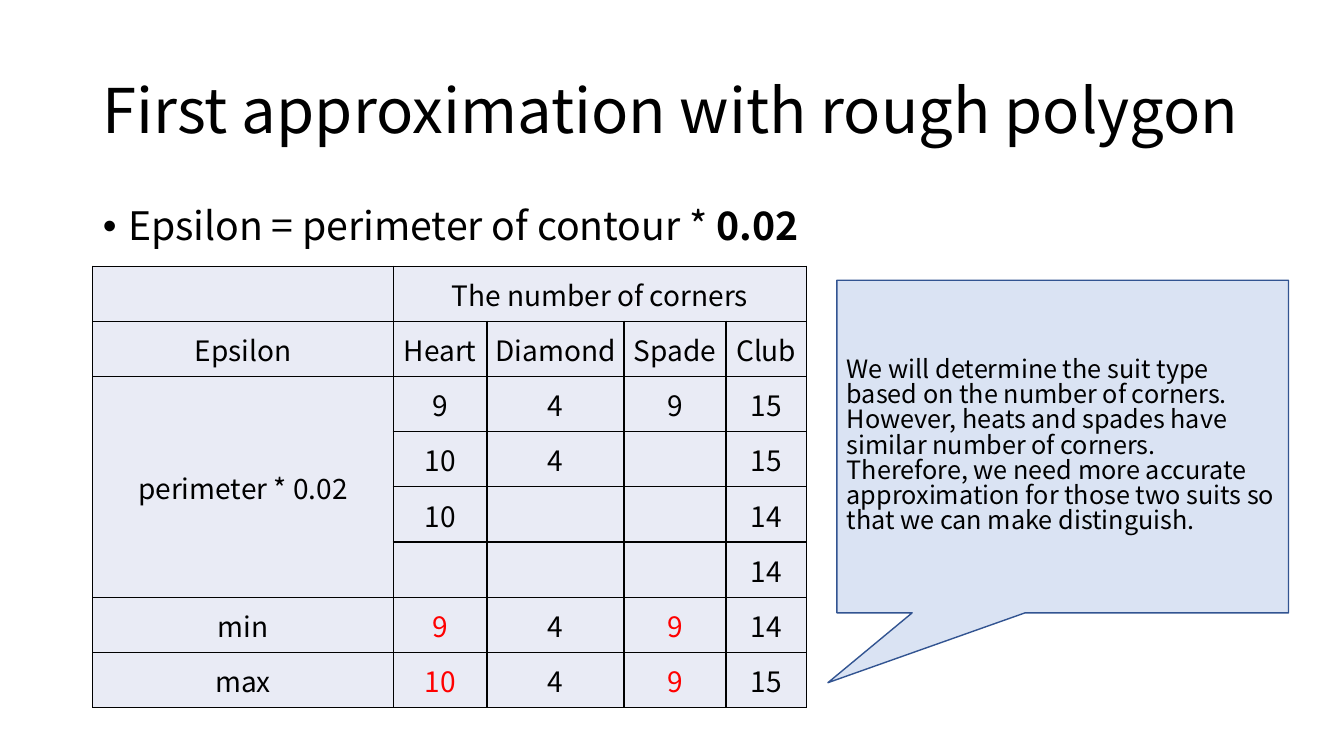
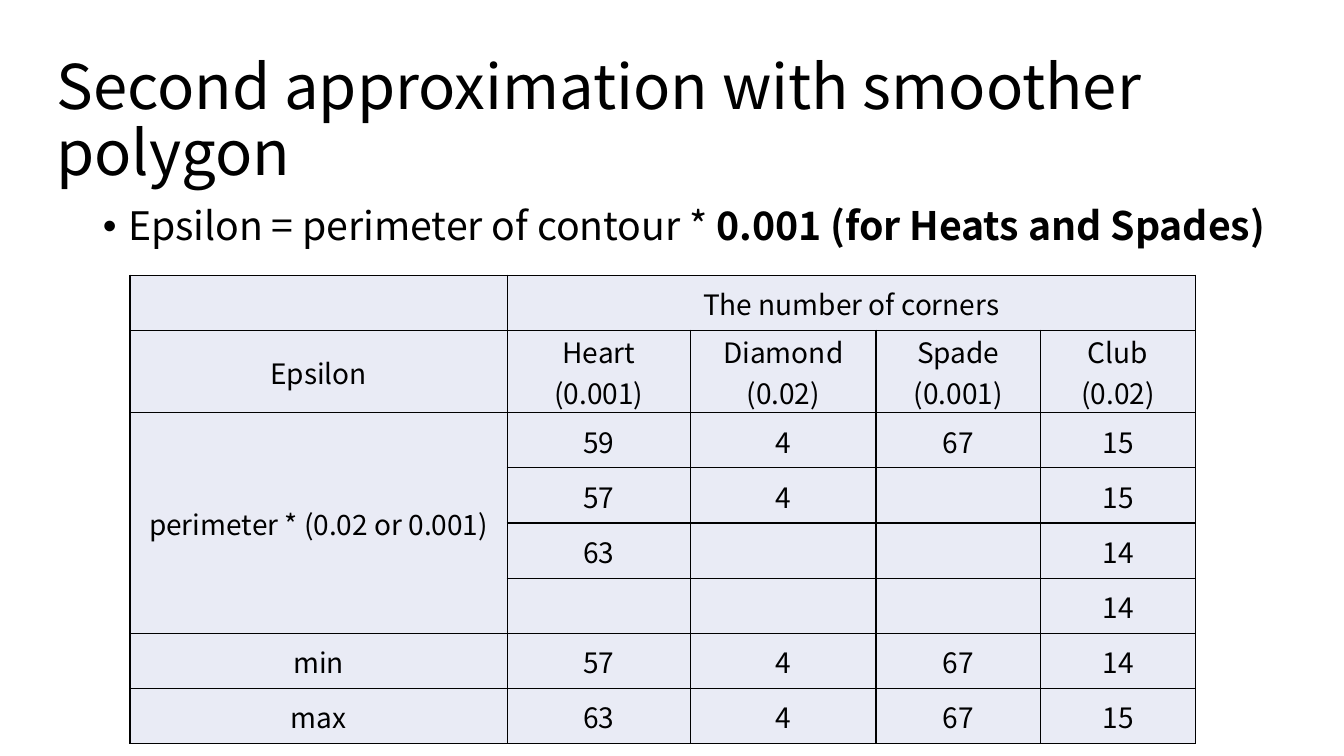
from dataclasses import dataclass

from lxml.etree import SubElement
from pptx import Presentation
from pptx.dml.color import RGBColor
from pptx.enum.shapes import MSO_SHAPE
from pptx.enum.text import MSO_ANCHOR, MSO_AUTO_SIZE, PP_ALIGN
from pptx.oxml.ns import qn
from pptx.util import Inches, Pt

SLIDE_W, SLIDE_H = Inches(13.33), Inches(7.5)
FONT = "Noto Sans CJK JP"
BLACK, RED = "000000", "FF0000"
CELL_FILL, NOTE_FILL, NOTE_LINE = "E9EBF5", "DAE3F3", "325491"
ROW_HEIGHT = 7.3  # percent of the slide height


@dataclass
class Box:
    """Place and size in percent of the slide."""
    left: float
    top: float
    width: float
    height: float


@dataclass
class CornerTable:
    left: float
    top: float
    columns: list[float]
    suits: list[str]
    factor: str
    counts: list[list[str]]
    limits: list[list[str]]
    red_columns: tuple[int, ...] = ()


@dataclass
class Page:
    title: str
    title_box: Box
    factor: str
    body_box: Box
    corners: CornerTable


def across(share: float) -> int:
    return round(SLIDE_W * share / 100)


def down(share: float) -> int:
    return round(SLIDE_H * share / 100)


def rgb(color: str) -> RGBColor:
    return RGBColor.from_string(color)


def place(shape, box: Box) -> None:
    shape.left, shape.top = across(box.left), down(box.top)
    shape.width, shape.height = across(box.width), down(box.height)


def style(frame, size: float, align=PP_ALIGN.LEFT, color: str = BLACK) -> None:
    for paragraph in frame.paragraphs:
        paragraph.alignment = align
        for run in paragraph.runs:
            run.font.name, run.font.size = FONT, Pt(size)
            run.font.color.rgb = rgb(color)


def add_title(slide, text: str, box: Box) -> None:
    title = slide.shapes.title
    place(title, box)
    frame = title.text_frame
    frame.text = text
    frame.vertical_anchor = MSO_ANCHOR.MIDDLE
    frame.auto_size = MSO_AUTO_SIZE.TEXT_TO_FIT_SHAPE
    frame.paragraphs[0].line_spacing = 0.9
    style(frame, 44)


def add_epsilon(slide, factor: str, box: Box) -> None:
    body = slide.placeholders[1]
    place(body, box)
    formula = body.text_frame.paragraphs[0]
    formula.text = "Epsilon = perimeter of contour * "
    value = formula.add_run()
    value.text = factor
    value.font.bold = True
    formula.line_spacing, formula.space_before = 0.9, Pt(10)
    style(body.text_frame, 28)
    # Hanging bullet
    properties = formula._p.get_or_add_pPr()
    properties.set("marL", str(Inches(0.25)))
    properties.set("indent", str(-Inches(0.25)))
    SubElement(properties, qn("a:buFont"), typeface="Arial")
    SubElement(properties, qn("a:buChar"), char="•")


def add_borders(cell) -> None:
    properties = cell._tc.get_or_add_tcPr()
    for side in ("a:lnL", "a:lnR", "a:lnT", "a:lnB"):
        border = SubElement(properties, qn(side), w=str(Pt(1)))
        SubElement(SubElement(border, qn("a:solidFill")), qn("a:srgbClr"), val=BLACK)


def add_corner_table(slide, corners: CornerTable) -> None:
    rows = [
        ["", "The number of corners", "", "", ""],
        ["Epsilon", *corners.suits],
        *([corners.factor if i == 0 else "", *row] for i, row in enumerate(corners.counts)),
        *([name, *row] for name, row in zip(("min", "max"), corners.limits)),
    ]
    first_limit = len(rows) - len(corners.limits)
    table = slide.shapes.add_table(
        len(rows), len(corners.columns), across(corners.left), down(corners.top),
        across(sum(corners.columns)), down(ROW_HEIGHT * len(rows))).table
    for column, share in zip(table.columns, corners.columns):
        column.width = across(share)
    for r, row in enumerate(rows):
        table.rows[r].height = down(ROW_HEIGHT)
        for c, text in enumerate(row):
            cell = table.cell(r, c)
            add_borders(cell)
            cell.fill.solid()
            cell.fill.fore_color.rgb = rgb(CELL_FILL)
            cell.vertical_anchor = MSO_ANCHOR.MIDDLE
            cell.margin_left = cell.margin_right = cell.margin_top = Inches(0.01)
            cell.margin_bottom = 0
            cell.text_frame.text = text
            is_red = r >= first_limit and c in corners.red_columns
            style(cell.text_frame, 20, PP_ALIGN.CENTER, RED if is_red else BLACK)
    table.cell(0, 1).merge(table.cell(0, len(corners.columns) - 1))
    table.cell(2, 0).merge(table.cell(first_limit - 1, 0))


def add_callout(slide, text: str, box: Box) -> None:
    callout = slide.shapes.add_shape(MSO_SHAPE.RECTANGULAR_CALLOUT, 0, 0, 0, 0)
    place(callout, box)
    callout.adjustments[0], callout.adjustments[1] = -0.52, 0.71
    callout.shadow.inherit = False
    callout.fill.solid()
    callout.fill.fore_color.rgb = rgb(NOTE_FILL)
    callout.line.color.rgb, callout.line.width = rgb(NOTE_LINE), Pt(1)
    frame = callout.text_frame
    frame.word_wrap = True
    frame.vertical_anchor = MSO_ANCHOR.MIDDLE
    frame.text = text
    for paragraph in frame.paragraphs:
        paragraph.line_spacing = 0.83
    style(frame, 18)


def add_page(deck, page: Page):
    slide = deck.slides.add_slide(deck.slide_layouts[1])
    add_title(slide, page.title, page.title_box)
    add_epsilon(slide, page.factor, page.body_box)
    add_corner_table(slide, page.corners)
    return slide


ROUGH = Page(
    "First approximation with rough polygon", Box(6.9, 5.33, 86.25, 19.33),
    "0.02", Box(6.9, 26.67, 86.25, 63.47),
    CornerTable(
        6.9, 35.2, [22.36, 6.98, 10.2, 7.58, 6],
        ["Heart", "Diamond", "Spade", "Club"], "perimeter * 0.02",
        [["9", "4", "9", "15"], ["10", "4", "", "15"],
         ["10", "", "", "14"], ["", "", "", "14"]],
        [["9", "4", "9", "14"], ["10", "4", "9", "15"]],
        red_columns=(1, 3)))

SMOOTH = Page(
    "Second approximation with smoother polygon", Box(3.45, 6.53, 93.17, 19.33),
    "0.001 (for Heats and Spades)", Box(6.9, 26.67, 90.4, 63.47),
    CornerTable(
        9.68, 36.4, [28.06, 13.65, 13.8, 12.23, 11.55],
        ["Heart\n(0.001)", "Diamond\n(0.02)", "Spade\n(0.001)", "Club\n(0.02)"],
        "perimeter * (0.02 or 0.001)",
        [["59", "4", "67", "15"], ["57", "4", "", "15"],
         ["63", "", "", "14"], ["", "", "", "14"]],
        [["57", "4", "67", "14"], ["63", "4", "67", "15"]]))

SUIT_NOTE = (
    "We will determine the suit type based on the number of corners.\n"
    "However, heats and spades have similar number of corners.\n"
    "Therefore, we need more accurate approximation for those two suits "
    "so that we can make distinguish.")


def main() -> None:
    deck = Presentation()
    deck.slide_width, deck.slide_height = SLIDE_W, SLIDE_H
    # Rough polygon with the note on similar suits
    rough_slide = add_page(deck, ROUGH)
    add_callout(rough_slide, SUIT_NOTE, Box(62.27, 37.07, 33.6, 44))
    # Smoother polygon
    add_page(deck, SMOOTH)
    deck.save("out.pptx")


if __name__ == "__main__":
    main()
